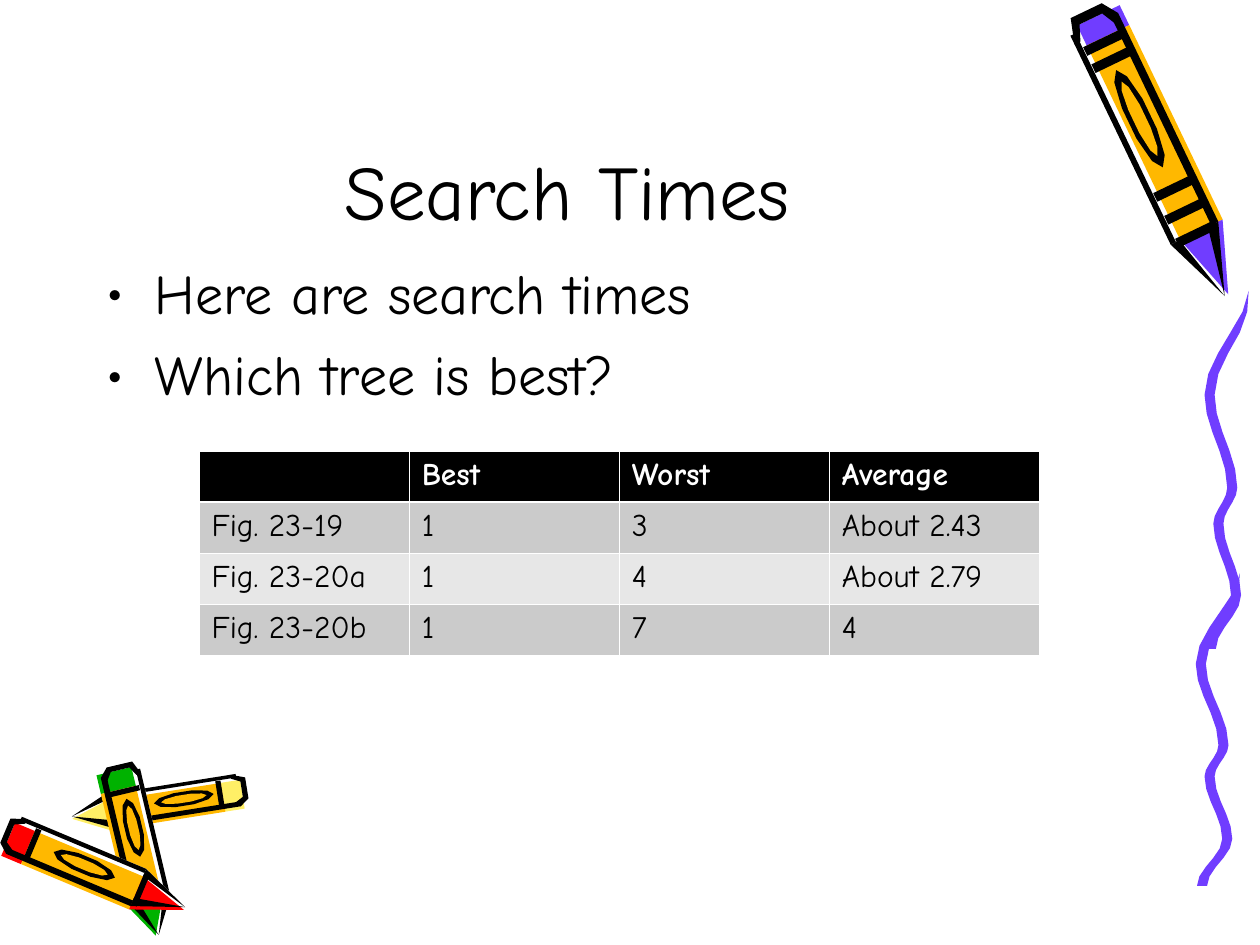
from dataclasses import dataclass
from itertools import pairwise
from math import cos, hypot, pi, sin

from lxml.etree import SubElement
from pptx import Presentation
from pptx.dml.color import RGBColor
from pptx.enum.text import MSO_ANCHOR, PP_ALIGN
from pptx.oxml.ns import qn
from pptx.util import Inches, Pt

COLORS = {
    "black": "000000", "white": "FFFFFF", "purple": "703DFF", "orange": "FFB800",
    "yellow": "FFEF66", "red": "FF0000", "green": "00B200",
    "odd_row": "CBCBCB", "even_row": "E7E7E7",
}
FONT = "Comic Neue"
Point = tuple[float, float]


@dataclass
class Crayon:
    """A crayon from tail to tip; a negative half width mirrors its shading."""
    color: str
    tail: Point
    tip: Point
    half_width: float
    shoulder: float
    bands: tuple[float, ...]
    label_center: float

    def place(self, along: float, across: float) -> Point:
        """Turn fractions of length and half width into slide inches."""
        dx, dy = self.tip[0] - self.tail[0], self.tip[1] - self.tail[1]
        offset = across * self.half_width / hypot(dx, dy)
        return self.tail[0] + along * dx + offset * dy, self.tail[1] + along * dy - offset * dx


@dataclass
class Squiggle:
    """A wavy stroke given by its top, height and shift to the right."""
    top: float
    height: float
    shift: float


@dataclass
class TextBlock:
    """Lines of text with their place and size."""
    left: float
    top: float
    width: float
    height: float
    size: int
    lines: tuple[str, ...]
    bulleted: bool


SMALL_BANDS = (0.14, 0.74)
CRAYONS = [
    Crayon("purple", (8.63, 0.08), (9.72, 2.35), 0.21, 0.78, (0.1, 0.16, 0.61, 0.69, 0.77), 0.38),
    Crayon("yellow", (1.96, 6.26), (0.57, 6.48), 0.13, 0.8, SMALL_BANDS, 0.36),
    Crayon("green", (0.94, 6.07), (1.26, 7.42), -0.16, 0.8, SMALL_BANDS, 0.37),
    Crayon("red", (0.04, 6.6), (1.47, 7.2), -0.16, 0.74, SMALL_BANDS, 0.44),
]
BEND_POINTS = [(9.91, 0), (9.6, 0.29), (9.78, 0.55), (9.67, 0.65), (9.81, 0.85), (9.61, 1)]
SQUIGGLES = [Squiggle(4.55, 2.48, -0.07), Squiggle(2.31, 2.84, 0)]
TEXT_BLOCKS = [
    TextBlock(0.75, 0.17, 7.51, 1.75, 44, ("Search Times",), False),
    TextBlock(0.75, 2, 8.42, 4, 32, ("Here are search times", "Which tree is best?"), True),
]
SEARCH_TIMES = [
    ("", "Best", "Worst", "Average"),
    ("Fig. 23-19", "1", "3", "About 2.43"),
    ("Fig. 23-20a", "1", "4", "About 2.79"),
    ("Fig. 23-20b", "1", "7", "4"),
]


def rgb(name: str) -> RGBColor:
    """Look up a colour by name."""
    return RGBColor.from_string(COLORS[name])


def draw_area(slide, color: str, corners: list[Point]) -> None:
    """Draw one filled outline without a line."""
    start, *others = [(Inches(x), Inches(y)) for x, y in corners]
    builder = slide.shapes.build_freeform(*start)
    builder.add_line_segments(others, close=True)
    area = builder.convert_to_shape()
    area.shadow.inherit = False
    area.fill.solid()
    area.fill.fore_color.rgb = rgb(color)
    area.line.fill.background()


def block(start: float, end: float, low: float, high: float) -> list[Point]:
    """Give the corners of a rectangle in crayon fractions."""
    return [(start, low), (end, low), (end, high), (start, high)]


def oval(center: float, half_length: float, half_height: float) -> list[Point]:
    """Give an angular oval in crayon fractions."""
    angles = [step * pi / 5 for step in range(10)]
    return [(center + half_length * cos(a), half_height * sin(a)) for a in angles]


def draw_crayon(slide, crayon: Crayon) -> None:
    """Layer paper, colours, ink edges, bands and label of a crayon."""
    shoulder, first_band = crayon.shoulder, crayon.bands[0]
    parts = [
        ("white", [(0, -0.6), (0, 0.6), (0.04, 1), (shoulder, 1), (1, 0), (shoulder, -1), (0.04, -1)]),
        (crayon.color, block(0.03, first_band, -0.6, 1.18)),
        ("orange", block(first_band, shoulder, -0.6, 1.18)),
        (crayon.color, [(shoulder, -0.6), (shoulder, 1.18), (1, 0.15)]),
        ("black", [(0.08, -1), (0, -0.7), (0, 0.6), (0.05, 1), (0.08, 0.75), (0.03, 0.45), (0.03, -0.5), (0.08, -0.75)]),
        ("black", oval(crayon.label_center, 0.17, 0.45)),
        ("orange", oval(crayon.label_center, 0.13, 0.25)),
    ]
    for outer, inner in ((-1, -0.78), (1, 0.7)):
        parts.append(("black", block(0.05, shoulder, outer, inner)))
        parts.append(("black", [(shoulder, outer), (1, 0), (shoulder, inner * 0.8)]))
    for band in crayon.bands:
        parts.append(("black", block(band, band + 0.03, -0.75, 0.9)))
    for color, corners in parts:
        draw_area(slide, color, [crayon.place(*corner) for corner in corners])


def draw_squiggle(slide, squiggle: Squiggle) -> None:
    """Draw a ribbon that eases from bend to bend and starts in a point."""
    steps, half_width = 5, 0.04
    left_edge, right_edge = [], []
    for (x, y), (next_x, next_y) in pairwise(BEND_POINTS):
        for step in range(steps + 1):
            share = step / steps
            center = x + (next_x - x) * (1 - cos(pi * share)) / 2 + squiggle.shift
            depth = y + (next_y - y) * share
            reach = half_width * min(1, depth * 8)
            left_edge.append((center - reach, squiggle.top + depth * squiggle.height))
            right_edge.append((center + reach, squiggle.top + depth * squiggle.height))
    draw_area(slide, "purple", left_edge + right_edge[::-1])


def write(paragraph, text: str, size: int, color: str, bold: bool = False) -> None:
    """Add one styled run."""
    run = paragraph.add_run()
    run.text = text
    run.font.name = FONT
    run.font.size = Pt(size)
    run.font.bold = bold
    run.font.color.rgb = rgb(color)


def draw_text(slide, text: TextBlock) -> None:
    """Draw the title or the bulleted list."""
    place = (text.left, text.top, text.width, text.height)
    frame = slide.shapes.add_textbox(*map(Inches, place)).text_frame
    frame.word_wrap = True
    frame.vertical_anchor = MSO_ANCHOR.TOP if text.bulleted else MSO_ANCHOR.BOTTOM
    for index, line in enumerate(text.lines):
        paragraph = frame.add_paragraph() if index else frame.paragraphs[0]
        if index:
            paragraph.space_before = Pt(8)
        if text.bulleted:
            properties = paragraph._p.get_or_add_pPr()
            properties.set("marL", str(Inches(0.38)))
            properties.set("indent", str(Inches(-0.38)))
            SubElement(properties, qn("a:buFont"), typeface=FONT)
            SubElement(properties, qn("a:buChar"), char="•")
        else:
            paragraph.alignment = PP_ALIGN.CENTER
        write(paragraph, line, text.size, "black")


def set_borders(cell, widths: dict[str, float]) -> None:
    """Give a cell white borders, placed ahead of its fill."""
    properties = cell._tc.get_or_add_tcPr()
    for position, (side, width) in enumerate(widths.items()):
        border = properties.makeelement(qn(f"a:{side}"), {"w": str(Pt(width))})
        properties.insert(position, border)
        SubElement(SubElement(border, qn("a:solidFill")), qn("a:srgbClr"), val=COLORS["white"])


def draw_search_times(slide) -> None:
    """Draw the table of search times."""
    thin, thick = 0.45, 1.47
    table = slide.shapes.add_table(
        len(SEARCH_TIMES), len(SEARCH_TIMES[0]),
        Inches(1.58), Inches(3.58), Inches(6.67), Inches(1.62)).table
    table.horz_banding = False
    for r, row in enumerate(SEARCH_TIMES):
        header = r == 0
        fill = "black" if header else "odd_row" if r % 2 else "even_row"
        borders = {"lnL": thin, "lnR": thin, "lnT": thick if r == 1 else thin, "lnB": thick if header else thin}
        for c, text in enumerate(row):
            cell = table.cell(r, c)
            cell.fill.solid()
            cell.fill.fore_color.rgb = rgb(fill)
            set_borders(cell, borders)
            if text:
                write(cell.text_frame.paragraphs[0], text, 18, "white" if header else "black", header)


def main() -> None:
    """Build the slide and save it."""
    presentation = Presentation()
    presentation.slide_width, presentation.slide_height = Inches(10), Inches(7.5)
    slide = presentation.slides.add_slide(presentation.slide_layouts[6])
    for crayon in CRAYONS:
        draw_crayon(slide, crayon)
    for squiggle in SQUIGGLES:
        draw_squiggle(slide, squiggle)
    for text in TEXT_BLOCKS:
        draw_text(slide, text)
    draw_search_times(slide)
    presentation.save("out.pptx")


if __name__ == "__main__":
    main()
